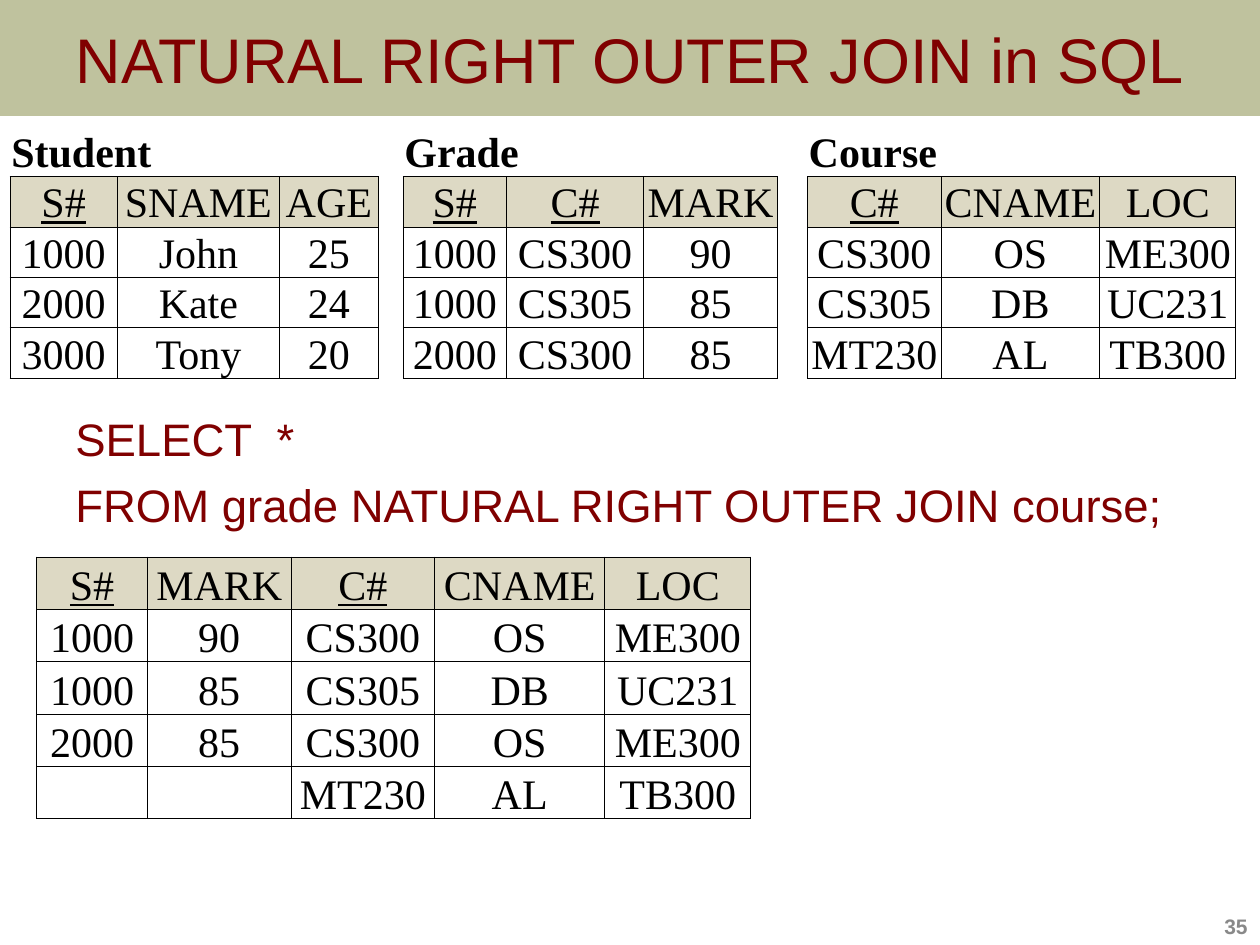
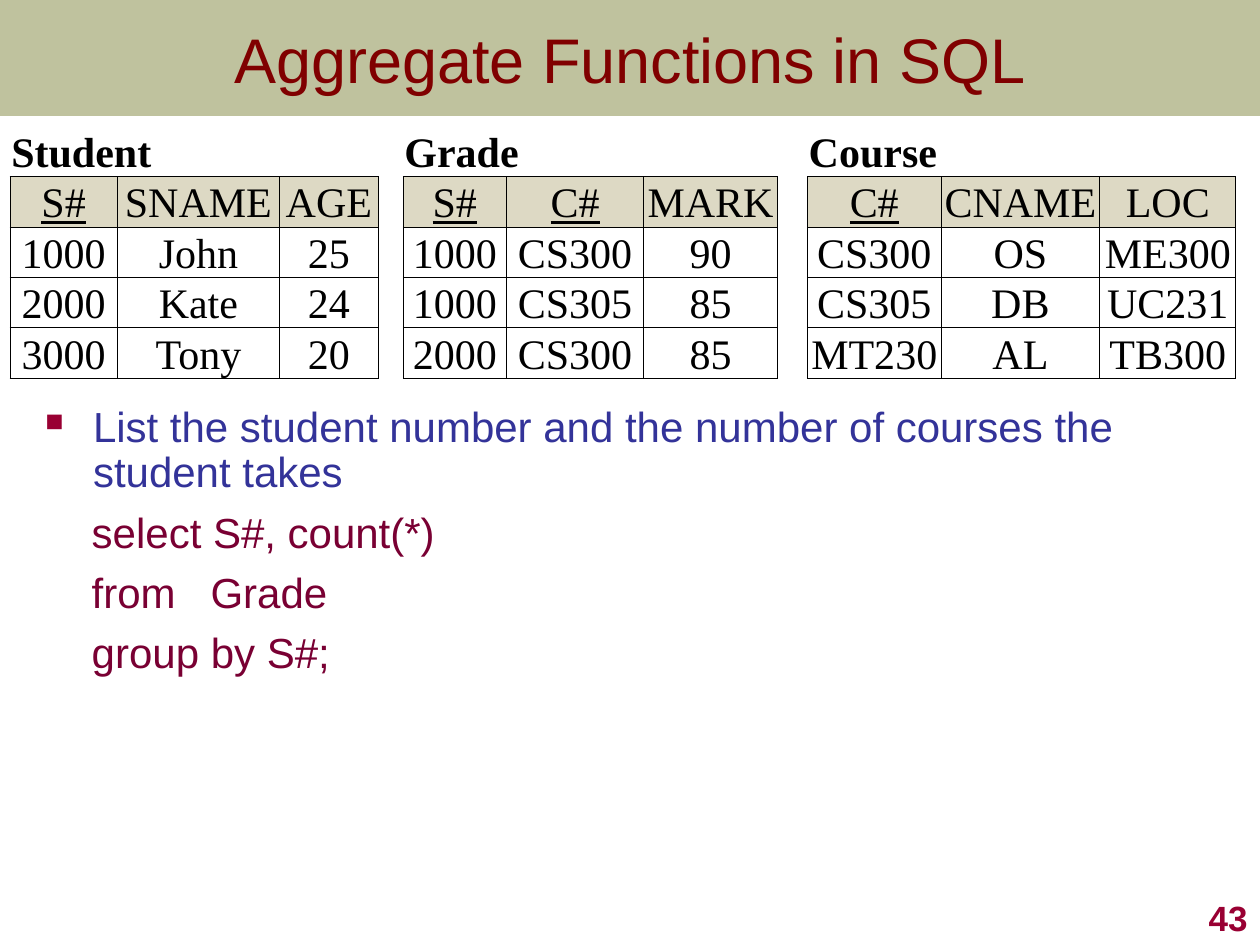
from lxml.etree import SubElement
from pptx import Presentation
from pptx.dml.color import RGBColor
from pptx.enum.text import MSO_ANCHOR, MSO_AUTO_SIZE, PP_ALIGN
from pptx.oxml.ns import qn
from pptx.util import Inches, Pt

# Shared colours and fonts
OLIVE = RGBColor(0x6E, 0x75, 0x24)
MAROON = RGBColor(0x80, 0x00, 0x00)
WINE = RGBColor(0x79, 0x00, 0x33)
CRIMSON = RGBColor(0x99, 0x00, 0x33)
BLUE = RGBColor(0x33, 0x33, 0x99)
GRAY = RGBColor(0x89, 0x89, 0x89)
SAND = RGBColor(0xDD, 0xD9, 0xC4)
BLACK = RGBColor(0, 0, 0)
WHITE = RGBColor(255, 255, 255)
SANS, SERIF = "Arial", "Times New Roman"
PLAIN = "{2D5ABB26-0587-4C30-8999-92F81FD0307C}"  # table style without lines

# Sample data shown on both slides
STUDENT = [["S#", "SNAME", "AGE"], ["1000", "John", "25"],
           ["2000", "Kate", "24"], ["3000", "Tony", "20"]]
GRADE = [["S#", "C#", "MARK"], ["1000", "CS300", "90"],
         ["1000", "CS305", "85"], ["2000", "CS300", "85"]]
COURSE = [["C#", "CNAME", "LOC"], ["CS300", "OS", "ME300"],
          ["CS305", "DB", "UC231"], ["MT230", "AL", "TB300"]]
JOINED = [["S#", "MARK", "C#", "CNAME", "LOC"],
          ["1000", "90", "CS300", "OS", "ME300"],
          ["1000", "85", "CS305", "DB", "UC231"],
          ["2000", "85", "CS300", "OS", "ME300"],
          ["", "", "MT230", "AL", "TB300"]]
NAMES = ["Student", "Grade", "Course"]
WIDTHS = [0.85, 1.29, 0.78, 0.2, 0.82, 1.09, 1.06, 0.24, 1.06, 1.26, 1.08]


def write(para, text, size=24, color=BLACK, font=SERIF, bold=False,
          under=False, align=PP_ALIGN.LEFT, before=0, line=None):
    para.text = text
    para.alignment = align
    para.space_before = Pt(before)
    if line:
        para.line_spacing = line
    style = para.font
    style.size, style.name, style.bold = Pt(size), font, bold
    style.underline = under
    style.color.rgb = color


def indent(para, left, first=0):
    props = para._p.get_or_add_pPr()
    props.set("marL", str(Inches(left)))
    props.set("indent", str(Inches(first)))
    return props


def bullet(para):
    props = indent(para, 0.38, -0.38)
    tint = SubElement(props, qn("a:buClr"))
    SubElement(tint, qn("a:srgbClr"), val=str(CRIMSON))
    SubElement(props, qn("a:buSzPct"), val="60000")
    SubElement(props, qn("a:buChar"), char="■")


def text_box(slide, box, top=0.05, right=0.1, anchor=MSO_ANCHOR.TOP):
    frame = slide.shapes.add_textbox(*map(Inches, box)).text_frame
    frame.word_wrap = True
    frame.vertical_anchor = anchor
    frame.margin_top, frame.margin_right = Inches(top), Inches(right)
    return frame


# Title band
def add_title(slide, text):
    title = slide.shapes.title
    title.left, title.top, title.width, title.height = map(
        Inches, (0, 0, 10, 0.92))
    title.fill.solid()
    title.fill.fore_color.rgb = OLIVE
    tint = title._element.spPr.find(".//" + qn("a:srgbClr"))
    SubElement(tint, qn("a:alpha"), val="44000")
    frame = title.text_frame
    frame.auto_size = MSO_AUTO_SIZE.NONE
    frame.vertical_anchor = MSO_ANCHOR.MIDDLE
    write(frame.paragraphs[0], text, size=36, color=MAROON, font=SANS,
          align=PP_ALIGN.CENTER)


# Page number
def add_number(slide, text, size, color):
    frame = text_box(slide, (7.92, 7, 2.08, 0.5), anchor=MSO_ANCHOR.BOTTOM)
    write(frame.paragraphs[0], text, size=size, color=color, font=SANS,
          bold=True, align=PP_ALIGN.RIGHT)


# Tables
def style_cell(cell, fill=WHITE, edges="LRTB"):
    cell.vertical_anchor = MSO_ANCHOR.BOTTOM
    cell.margin_left = cell.margin_right = Inches(0.01)
    cell.margin_top = cell.margin_bottom = 0
    props = cell._tc.get_or_add_tcPr()
    for edge in edges:
        line = SubElement(props, qn("a:ln" + edge), w=str(Pt(0.5)))
        paint = SubElement(line, qn("a:solidFill"))
        SubElement(paint, qn("a:srgbClr"), val=str(BLACK))
    cell.fill.solid()
    cell.fill.fore_color.rgb = fill


def add_grid(slide, left, top, height, widths, count):
    table = slide.shapes.add_table(
        count, len(widths), Inches(left), Inches(top),
        Inches(sum(widths)), Inches(height)).table
    table._tbl.tblPr[0].text = PLAIN
    for col, width in zip(table.columns, widths):
        col.width = Inches(width)
    for row in table.rows:
        row.height = int(Inches(height) / count)
    return table


def fill_rows(table, rows, top=0, left=0):
    for r, row in enumerate(rows):
        for c, text in enumerate(row):
            cell = table.cell(top + r, left + c)
            style_cell(cell, WHITE if r else SAND)
            write(cell.text_frame.paragraphs[0], text,
                  under=text.endswith("#"), align=PP_ALIGN.CENTER)


def add_sources(slide):
    table = add_grid(slide, 0.08, 1, 1.9, WIDTHS, 5)
    for i, (name, rows) in enumerate(zip(NAMES, (STUDENT, GRADE, COURSE))):
        first = 4 * i
        for c in range(first, first + 3):
            style_cell(table.cell(0, c), edges="B")
        head = table.cell(0, first)
        head.merge(table.cell(0, first + 2))
        write(head.text_frame.paragraphs[0], name, bold=True)
        fill_rows(table, rows, 1, first)
    for gap in (3, 7):
        for r in range(5):
            style_cell(table.cell(r, gap), edges="LR" if r else "")


# Slide types
def start(deck, title, number, size, color):
    slide = deck.slides.add_slide(deck.slide_layouts[5])
    add_title(slide, title)
    add_number(slide, number, size, color)
    add_sources(slide)
    return slide


def join_slide(deck):
    slide = start(deck, "NATURAL RIGHT OUTER JOIN in SQL", "35", 12, GRAY)
    frame = text_box(slide, (0, 3.17, 10, 1.02), top=0.09, right=0)
    lines = ["SELECT  *", "FROM grade NATURAL RIGHT OUTER JOIN course;"]
    for i, text in enumerate(lines):
        para = frame.add_paragraph() if i else frame.paragraphs[0]
        indent(para, 0.5)
        write(para, text, size=26, color=MAROON, font=SANS,
              before=6.5 if i else 0)
    result = add_grid(slide, 0.29, 4.42, 2.08,
                      [0.88, 1.14, 1.14, 1.35, 1.16], 5)
    fill_rows(result, JOINED)


def count_slide(deck):
    slide = start(deck, "Aggregate Functions in SQL", "43", 20, CRIMSON)
    frame = text_box(slide, (0.26, 3.14, 9.49, 4.35), top=0.08, right=0)
    task = frame.paragraphs[0]
    bullet(task)
    write(task, "List the student number and the number of courses the "
          "student takes", color=BLUE, font=SANS, line=0.9)
    for text in ("    select S#, count(*)", "    from   Grade",
                 "    group by S#;"):
        write(frame.add_paragraph(), text, color=WINE, font=SANS, before=5.6)


def main():
    deck = Presentation()
    deck.slide_width, deck.slide_height = Inches(10), Inches(7.5)
    join_slide(deck)
    count_slide(deck)
    deck.save("out.pptx")


if __name__ == "__main__":
    main()
